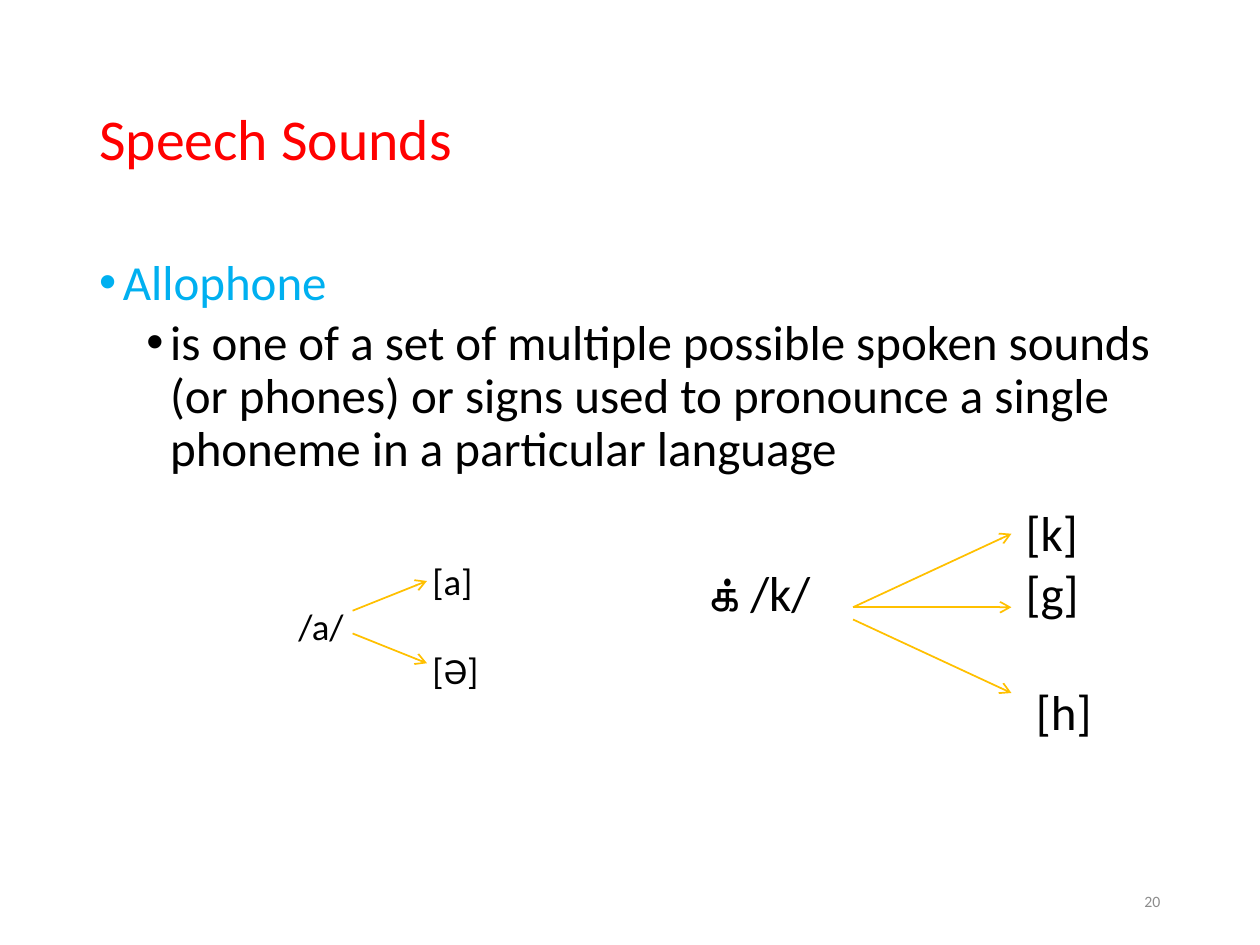
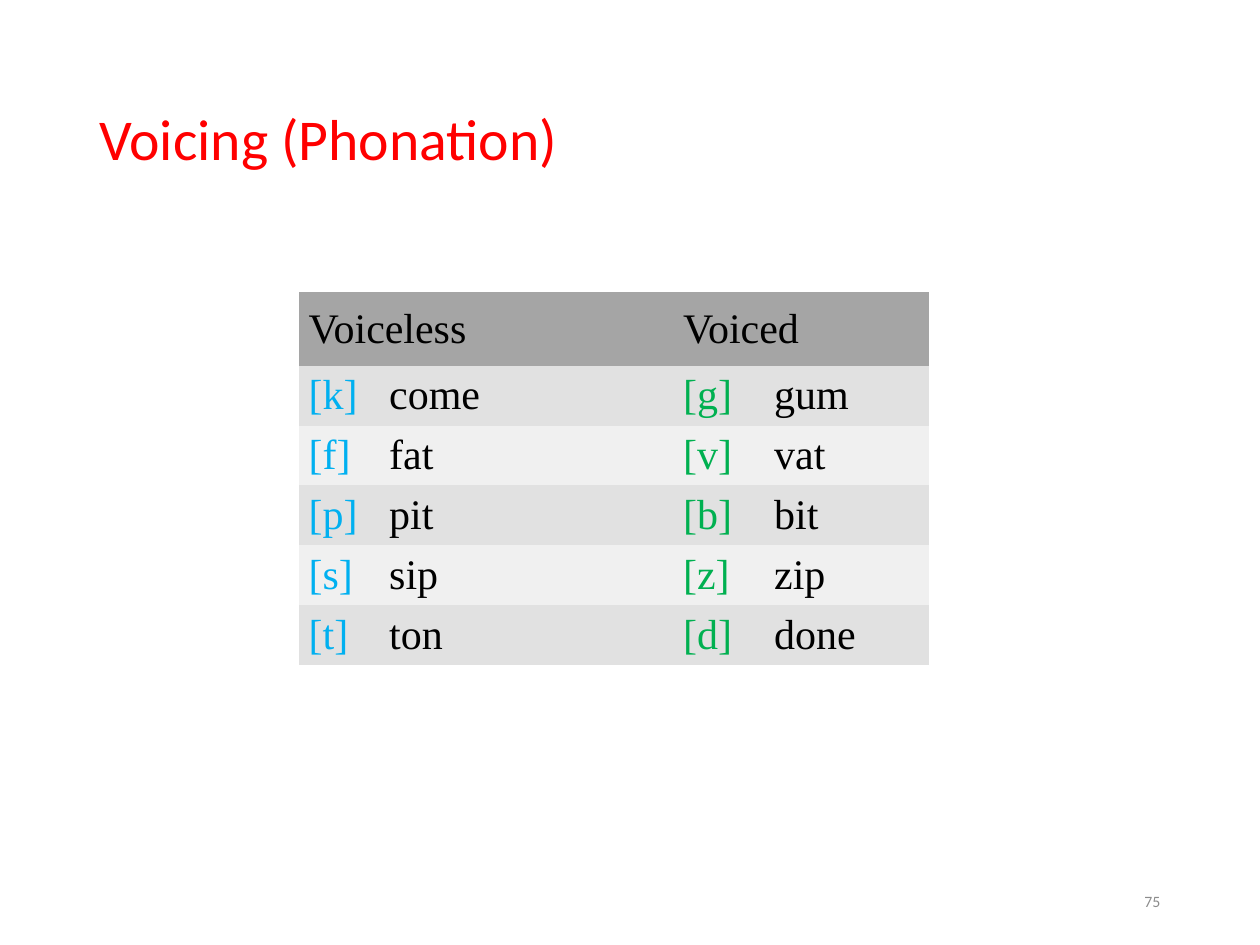
from dataclasses import dataclass

from lxml import etree
from pptx import Presentation
from pptx.dml.color import RGBColor
from pptx.enum.shapes import MSO_CONNECTOR
from pptx.enum.text import MSO_ANCHOR, MSO_AUTO_SIZE, PP_ALIGN
from pptx.oxml.ns import qn
from pptx.util import Pt

STRAIGHT = MSO_CONNECTOR.STRAIGHT
MIDDLE = MSO_ANCHOR.MIDDLE
NO_FIT = MSO_AUTO_SIZE.NONE
LEFT, RIGHT = PP_ALIGN.LEFT, PP_ALIGN.RIGHT
PLAIN_GRID = "{2D5ABB26-0587-4C30-8999-92F81FD0307C}"
LIST_LAYOUT, TITLE_LAYOUT = 1, 5


@dataclass(frozen=True)
class Theme:
    """Colours, fonts and type sizes shared by the slides."""

    sans: str = "Calibri"
    serif: str = "Times New Roman"
    title: str = "FF0000"
    term: str = "00B0F0"
    voiced: str = "00B050"
    text: str = "000000"
    arrow: str = "FFC000"
    number: str = "8C8C8C"
    head: str = "A5A5A5"
    bands: tuple = ("E1E1E1", "F0F0F0")
    title_size: float = 33
    body_size: float = 28
    cell_size: float = 24
    small_size: float = 21
    number_size: float = 9


THEME = Theme()


def place(shape, left, top, width, height):
    """Move and size a shape in points."""
    shape.left, shape.top = Pt(left), Pt(top)
    shape.width, shape.height = Pt(width), Pt(height)


def style(run, size, color, face=THEME.sans):
    """Give a run its font, size and colour."""
    font = run.font
    font.name, font.size, font.bold = face, Pt(size), False
    font.color.rgb = RGBColor.from_string(color)


def add_label(slide, text, left, mid, size, color=THEME.text, width=85, align=LEFT):
    """Add one line of text centred on the height mid."""
    height = size * 1.22
    box = slide.shapes.add_textbox(Pt(left), Pt(mid - height / 2), Pt(width), Pt(height))
    frame = box.text_frame
    frame.word_wrap = True
    frame.vertical_anchor = MIDDLE
    frame.margin_left = frame.margin_right = frame.margin_top = frame.margin_bottom = 0
    frame.text = text
    frame.paragraphs[0].alignment = align
    style(frame.paragraphs[0].runs[0], size, color)


def add_slide(deck, layout, title, number):
    """Add a slide with its title and number."""
    slide = deck.slides.add_slide(deck.slide_layouts[layout])
    head = slide.shapes.title
    place(head, 49.5, 29, 621, 104)
    frame = head.text_frame
    frame.text = title
    frame.auto_size = NO_FIT
    frame.vertical_anchor = MIDDLE
    para = frame.paragraphs[0]
    para.alignment, para.line_spacing = LEFT, 0.9
    style(para.runs[0], THEME.title_size, THEME.title)
    add_label(slide, number, 515.5, 515, THEME.number_size, THEME.number, 147.5, RIGHT)
    return slide


def fill_list(body, items):
    """Fill the body with bulleted paragraphs of text, level and colour."""
    place(body, 49.5, 144, 621, 343)
    frame = body.text_frame
    frame.text = "\n".join(text for text, _, _ in items)
    frame.auto_size = NO_FIT
    for para, (_, level, color) in zip(frame.paragraphs, items):
        para.level = level
        para.line_spacing = 0.9
        para.space_before = Pt(3.75 if level else 7.5)
        props = para._p.get_or_add_pPr()
        props.set("marL", str(Pt(13.5 + 27 * level)))
        props.set("indent", str(Pt(-13.5)))
        etree.SubElement(props, qn("a:buFont")).set("typeface", "Arial")
        etree.SubElement(props, qn("a:buChar")).set("char", "•")
        style(para.runs[0], THEME.body_size, color)


def add_arrow(slide, start, end):
    """Draw an open-headed arrow between two points."""
    arrow = slide.shapes.add_connector(STRAIGHT, *map(Pt, start + end))
    arrow.line.width = Pt(1)
    arrow.line.color.rgb = RGBColor.from_string(THEME.arrow)
    line = arrow.line._get_or_add_ln()
    etree.SubElement(line, qn("a:tailEnd")).set("type", "arrow")
    etree.SubElement(arrow._element.spPr, qn("a:effectLst"))


def fill_cell(cell, fill, parts, stop):
    """Fill a cell with coloured parts, parted by a tab stop."""
    cell.fill.solid()
    cell.fill.fore_color.rgb = RGBColor.from_string(fill)
    cell.vertical_anchor = MIDDLE
    cell.margin_left = cell.margin_right = Pt(5.4)
    cell.margin_top = cell.margin_bottom = Pt(2.7)
    para = cell.text_frame.paragraphs[0]
    tabs = etree.SubElement(para._p.get_or_add_pPr(), qn("a:tabLst"))
    tab = etree.SubElement(tabs, qn("a:tab"))
    tab.set("pos", str(Pt(stop)))
    tab.set("algn", "l")
    for index, (text, color) in enumerate(parts):
        run = para.add_run()
        run.text = "\t" + text if index else text
        style(run, THEME.cell_size, color, THEME.serif)


def add_pairs(slide, heads, rows):
    """Add the table of sounds, each with a sample word."""
    shape = slide.shapes.add_table(len(rows) + 1, 2, Pt(171), Pt(167), Pt(360), Pt(212))
    table = shape.table
    table.first_row = table.horz_banding = False
    table._tbl.tblPr.find(qn("a:tableStyleId")).text = PLAIN_GRID
    for col, width in zip(table.columns, (214, 146)):
        col.width = Pt(width)
    for index, row in enumerate(table.rows):
        row.height = Pt(34 if index else 42)
    stops, hues = (46, 52), (THEME.term, THEME.voiced)
    for col, text in enumerate(heads):
        fill_cell(table.cell(0, col), THEME.head, [(text, THEME.text)], stops[col])
    for index, pairs in enumerate(rows):
        for col, (sound, word) in enumerate(pairs):
            parts = [(sound, hues[col]), (word, THEME.text)]
            fill_cell(table.cell(index + 1, col), THEME.bands[index % 2], parts, stops[col])


def add_sounds(deck):
    """Build the slide on allophones."""
    slide = add_slide(deck, LIST_LAYOUT, "Speech Sounds", "20")
    fill_list(slide.placeholders[1], [
        ("Allophone", 0, THEME.term),
        ("is one of a set of multiple possible spoken sounds (or phones) or signs "
         "used to pronounce a single phoneme in a particular language", 1, THEME.text),
    ])
    for text, left, mid in (("[a]", 247, 332), ("/a/", 170.5, 357.5), ("[Ə]", 247, 383)):
        add_label(slide, text, left, mid, THEME.small_size)
    for text, left, mid in (("[k]", 586, 304), ("க் /k/", 404, 338.5),
                            ("[g]", 586, 338.5), ("[h]", 592, 406)):
        add_label(slide, text, left, mid, THEME.body_size)
    for start, end in ((349, 332), (362, 379)):
        add_arrow(slide, (201.5, start), (244, end))
    for start, end in ((347, 305), (347, 347), (354, 396)):
        add_arrow(slide, (487.5, start), (578, end))


def add_voicing(deck):
    """Build the slide on voicing."""
    slide = add_slide(deck, TITLE_LAYOUT, "Voicing (Phonation)", "75")
    add_pairs(slide, ("Voiceless", "Voiced"), [
        (("[k]", "come"), ("[g]", "gum")),
        (("[f]", "fat"), ("[v]", "vat")),
        (("[p]", "pit"), ("[b]", "bit")),
        (("[s]", "sip"), ("[z]", "zip")),
        (("[t]", "ton"), ("[d]", "done")),
    ])


def main():
    """Build and save the deck."""
    deck = Presentation()
    deck.slide_width, deck.slide_height = Pt(720), Pt(540)
    add_sounds(deck)
    add_voicing(deck)
    deck.save("out.pptx")


if __name__ == "__main__":
    main()
